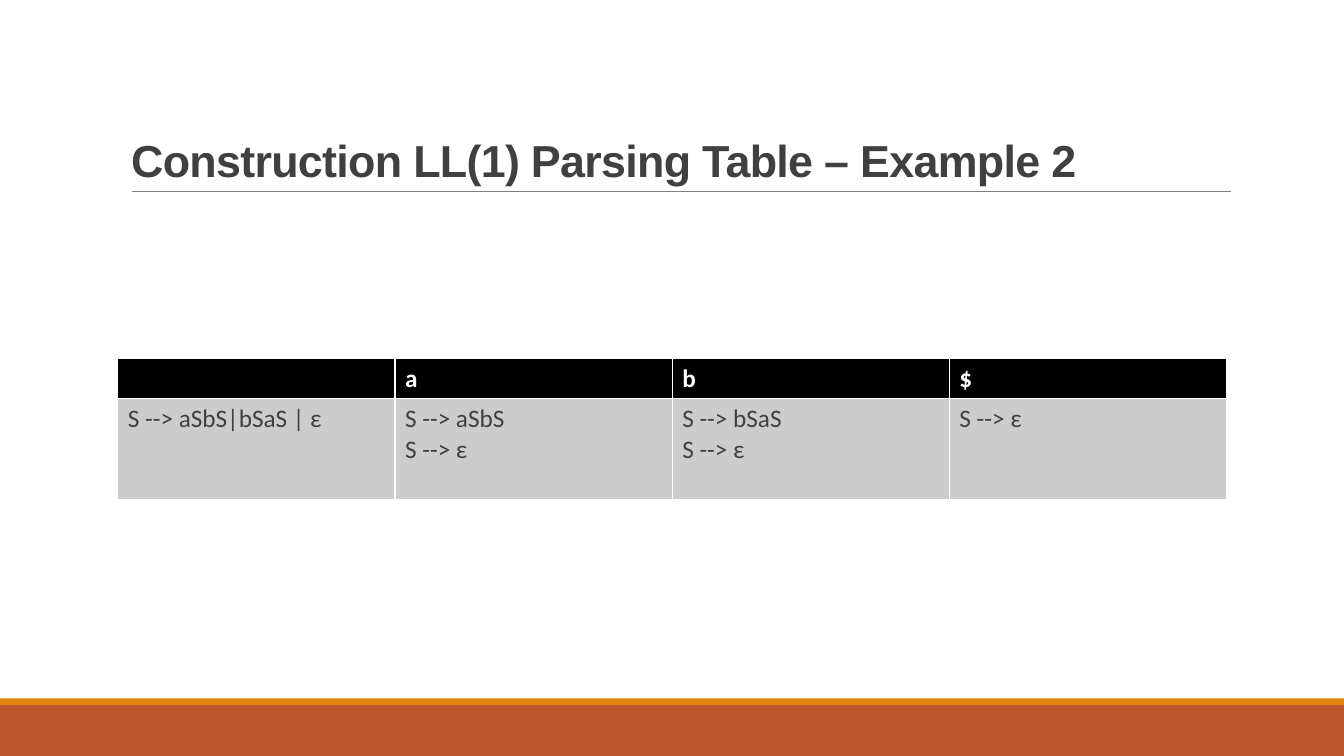
from dataclasses import dataclass

from pptx import Presentation, util as u
from pptx.dml.color import RGBColor
from pptx.enum import shapes, text
from pptx.oxml.ns import qn
from lxml import etree


@dataclass(frozen=True)
class Theme:
    ink: str = "404040"
    white: str = "FFFFFF"
    head: str = "000000"
    body: str = "CCCCCC"
    rule: str = "808080"
    rust: str = "BD582C"
    gold: str = "E48312"
    title: int = 32
    cell: int = 18


THEME = Theme()
WIDE, HIGH = 33.87, 19.05
ROWS = (
    ("", "a", "b", "$"),
    ("S --> aSbS|bSaS | ε", "S --> aSbS\nS --> ε", "S --> bSaS\nS --> ε", "S --> ε"),
)
TALL = (1.03, 2.55)


def paint(fill, hue):
    fill.solid()
    fill.fore_color.rgb = RGBColor.from_string(hue)


def write(frame, words, size, hue, face="Calibri", bold=False, lead=None, track=None):
    frame.text = words
    for para in frame.paragraphs:
        para.alignment = text.PP_ALIGN.LEFT
        para.line_spacing = lead
        for item in (para, *para.runs):
            font = item.font
            font.name, font.size, font.bold = face, u.Pt(size), bold
            font.color.rgb = RGBColor.from_string(hue)
        if track is not None:
            for run in para.runs:
                run.font._element.set("spc", str(round(track * 100)))


def band(slide, left, top, width, height, hue):
    bar = slide.shapes.add_shape(
        shapes.MSO_SHAPE.RECTANGLE, u.Cm(left), u.Cm(top), u.Cm(width), u.Cm(height)
    )
    bar.shadow.inherit = False
    paint(bar.fill, hue)
    bar.line.fill.background()


def footer(slide, left, top, width, height):
    thin = 0.17
    band(slide, left, top + thin, width, height - thin, THEME.rust)
    band(slide, left, top, width, thin, THEME.gold)


def header(slide, left, top, width, height):
    title = slide.shapes.title
    title.left, title.top = u.Cm(left), u.Cm(top)
    title.width, title.height = u.Cm(width), u.Cm(height)
    frame = title.text_frame
    frame.word_wrap = True
    frame.auto_size = text.MSO_AUTO_SIZE.NONE
    frame.vertical_anchor = text.MSO_ANCHOR.BOTTOM
    write(frame, "Construction LL(1) Parsing Table – Example 2", THEME.title,
          THEME.ink, face="Arial", bold=True, lead=0.85, track=-0.5)
    start, base = left + 0.28, top + height
    rule = slide.shapes.add_connector(
        shapes.MSO_CONNECTOR.STRAIGHT,
        u.Cm(start), u.Cm(base), u.Cm(start + 27.68), u.Cm(base),
    )
    rule.line.width = u.Pt(0.5)
    rule.line.color.rgb = RGBColor.from_string(THEME.rule)
    etree.SubElement(rule._element.spPr, qn("a:effectLst"))


def grid(slide, left, top, width, height):
    table = slide.shapes.add_table(
        len(ROWS), len(ROWS[0]), u.Cm(left), u.Cm(top), u.Cm(width), u.Cm(height)
    ).table
    for row, tall in zip(table.rows, TALL):
        row.height = u.Cm(tall)
    for r, line in enumerate(ROWS):
        first = r == 0
        for c, words in enumerate(line):
            cell = table.cell(r, c)
            paint(cell.fill, THEME.head if first else THEME.body)
            write(cell.text_frame, words, THEME.cell,
                  THEME.white if first else THEME.ink, bold=first)


def main():
    deck = Presentation()
    deck.slide_width, deck.slide_height = u.Cm(WIDE), u.Cm(HIGH)
    slide = deck.slides.add_slide(deck.slide_layouts[5])
    paint(slide.background.fill, THEME.white)
    footer(slide, 0, 17.6, WIDE, HIGH - 17.6)
    header(slide, 3.05, 0.79, 27.94, 4.04)
    grid(slide, 2.97, 9.02, 27.94, sum(TALL))
    deck.save("out.pptx")


if __name__ == "__main__":
    main()
